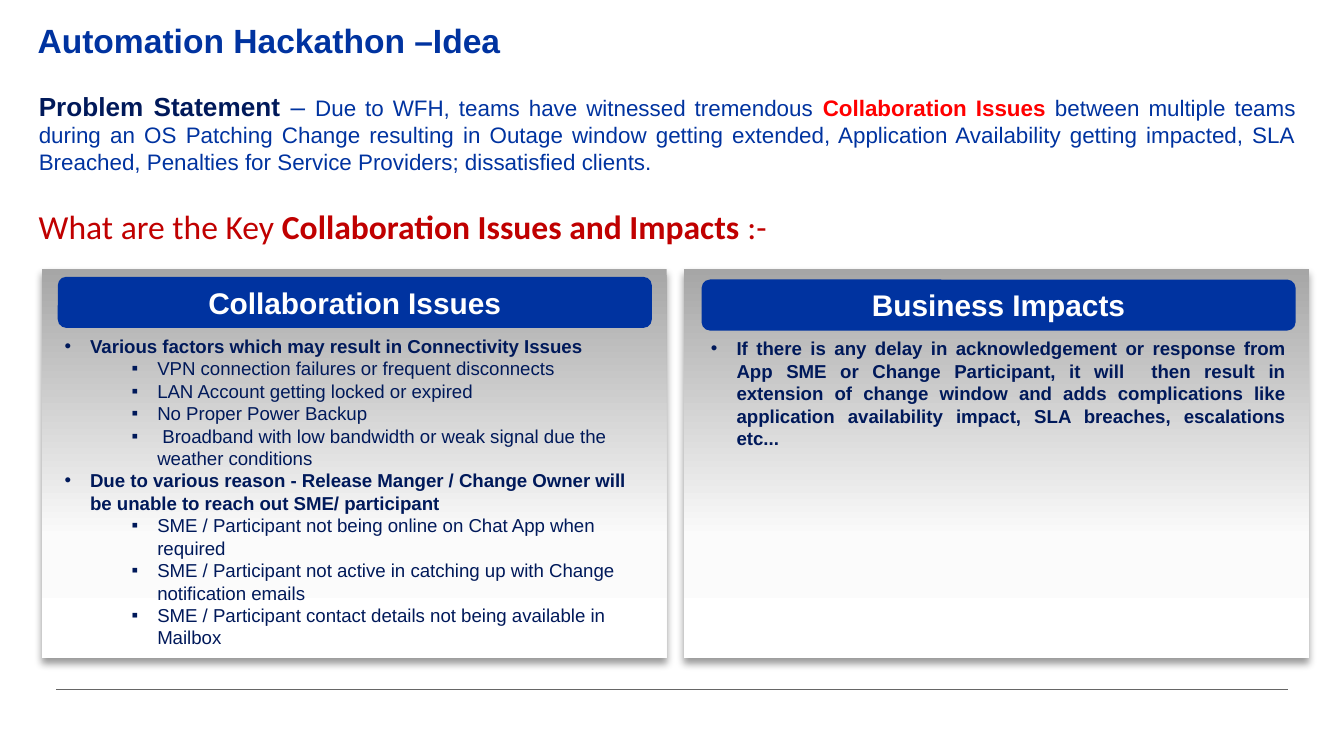
"""Build the hackathon idea slide with its collaboration issues and business impacts."""
from dataclasses import dataclass

from lxml import etree
from pptx import Presentation
from pptx.dml.color import RGBColor as RGB
from pptx.enum.shapes import MSO_CONNECTOR as CONN, MSO_SHAPE as SHAPE
from pptx.enum.text import MSO_ANCHOR as ANCHOR, MSO_AUTO_SIZE as FIT, PP_ALIGN as ALIGN
from pptx.oxml import parse_xml
from pptx.oxml.ns import nsdecls, qn
from pptx.util import Inches, Pt


@dataclass(frozen=True)
class Theme:
    blue: str = "0033A0"
    navy: str = "00195A"
    red: str = "FF0000"
    dark_red: str = "C00000"
    white: str = "FFFFFF"
    rule: str = "666666"
    shadow: str = "000000"
    panel: tuple = ((0, "A6A6A6"), (69, "FBFBFB"), (100, "FFFFFF"))
    sans: str = "Arial"
    accent_font: str = "Calibri"
    heading: float = 18
    banner: float = 16
    lead: float = 14
    text: float = 12
    item: float = 10


T = Theme()


def place(sp, left, top, width, height, anchor=ANCHOR.TOP):
    sp.left, sp.top, sp.width, sp.height = map(Inches, (left, top, width, height))
    tf = sp.text_frame
    tf.word_wrap, tf.auto_size, tf.vertical_anchor = True, FIT.NONE, anchor
    return tf


def write(p, runs, align=ALIGN.LEFT, font=T.sans):
    p.alignment = align
    for text, size, color, bold in runs:
        r = p.add_run()
        r.text = text
        r.font.name, r.font.size, r.font.bold = font, Pt(size), bold
        r.font.color.rgb = RGB.from_string(color)


prs = Presentation()
prs.slide_width = Inches(10)
prs.slide_height = prs.slide_width * 9 // 16
s = prs.slides.add_slide(prs.slide_layouts[3])

rule = s.shapes.add_connector(CONN.STRAIGHT, Inches(0.42), Inches(5.13), Inches(9.58), Inches(5.13))
rule.line.color.rgb = RGB.from_string(T.rule)
rule.line.width = Pt(0.5)
etree.SubElement(rule.element.spPr, qn("a:effectLst"))

tf = place(s.shapes.title, 0.18, 0.1, 9.25, 0.4)
write(tf.paragraphs[0], [("Automation Hackathon –Idea", T.heading, T.blue, True)])

tf = place(s.shapes.add_textbox(0, 0, 0, 0), 0.19, 0.62, 9.55, 0.74)
write(tf.paragraphs[0], [
    ("Problem Statement ", T.lead, T.navy, True),
    ("– ", T.lead, T.blue, False),
    ("Due to WFH, teams have witnessed tremendous ", T.text, T.blue, False),
    ("Collaboration Issues ", T.text, T.red, True),
    ("between multiple teams during an OS Patching Change resulting in Outage window getting "
     "extended, Application Availability getting impacted, SLA Breached, Penalties for Service "
     "Providers; dissatisfied clients.", T.text, T.blue, False),
], ALIGN.JUSTIFY)

tf = place(s.shapes.add_textbox(0, 0, 0, 0), 0.19, 1.48, 6.73, 0.4)
write(tf.paragraphs[0], [
    ("What are the Key ", T.heading, T.dark_red, False),
    ("Collaboration Issues and Impacts", T.heading, T.dark_red, True),
    (" :-", T.heading, T.dark_red, False),
], font=T.accent_font)

issues = [
    (0, "Various factors which may result in Connectivity Issues"),
    (1, "VPN connection failures or frequent disconnects"),
    (1, "LAN Account getting locked or expired"),
    (1, "No Proper Power Backup"),
    (1, " Broadband with low bandwidth or weak signal due the weather conditions"),
    (0, "Due to various reason - Release Manger / Change Owner will be unable to reach out "
        "SME/ participant"),
    (1, "SME / Participant not being online on Chat App when required"),
    (1, "SME / Participant not active in catching up with Change notification emails"),
    (1, "SME / Participant contact details not being available in Mailbox"),
]
impacts = [
    (0, "If there is any delay in acknowledgement or response from App SME or Change "
        "Participant, it will  then result in extension of change window and adds complications "
        "like application availability impact, SLA breaches, escalations etc..."),
]
columns = [
    ("Collaboration Issues", issues, ALIGN.LEFT, 0.31, (0.43, 2.06), (0.38, 2.44, 4.47, 2.46)),
    ("Business Impacts", impacts, ALIGN.JUSTIFY, 5.09, (5.22, 2.08), (5.19, 2.46, 4.47, 1.11)),
]
stops = "".join(f'<a:gs pos="{pos * 1000}"><a:srgbClr val="{color}"/></a:gs>' for pos, color in T.panel)
gradient = (f'<a:gradFill {nsdecls("a")} rotWithShape="1"><a:gsLst>{stops}</a:gsLst>'
            '<a:lin ang="5400000" scaled="0"/></a:gradFill>')
shadow = (f'<a:effectLst {nsdecls("a")}><a:outerShdw blurRad="{Pt(4)}" dist="{Pt(3)}" dir="5400000" '
          f'algn="t" rotWithShape="0"><a:srgbClr val="{T.shadow}"><a:alpha val="40000"/></a:srgbClr>'
          '</a:outerShdw></a:effectLst>')

for idx, (heading, items, align, left, banner_at, body_at) in enumerate(columns, 1):
    panel = s.shapes.add_shape(SHAPE.RECTANGLE, Inches(left), Inches(2), Inches(4.65), Inches(2.9))
    panel.line.fill.background()
    ln = panel.element.spPr.find(qn("a:ln"))
    ln.addprevious(parse_xml(gradient))
    ln.addnext(parse_xml(shadow))

    banner = s.shapes.add_shape(SHAPE.ROUNDED_RECTANGLE, 0, 0, 0, 0)
    tf = place(banner, *banner_at, 4.42, 0.38, ANCHOR.MIDDLE)
    banner.shadow.inherit = False
    banner.fill.solid()
    banner.fill.fore_color.rgb = RGB.from_string(T.blue)
    banner.line.fill.background()
    write(tf.paragraphs[0], [(heading, T.banner, T.white, True)], ALIGN.CENTER)

    body = s.placeholders[idx]
    banner.element.addnext(body.element)
    tf = place(body, *body_at)
    for i, (level, text) in enumerate(items):
        p = tf.add_paragraph() if i else tf.paragraphs[0]
        p.level = level
        p.space_before = Pt(0)
        write(p, [(text, T.item, T.navy, level == 0)], align)
        pPr = p._p.get_or_add_pPr()
        pPr.set("marL", str(Inches((0.19, 0.69)[level])))
        pPr.set("indent", str(Inches(-0.19)))
        etree.SubElement(pPr, qn("a:buFont"), typeface=T.sans)
        etree.SubElement(pPr, qn("a:buChar"), char="•▪"[level])

prs.save("out.pptx")
